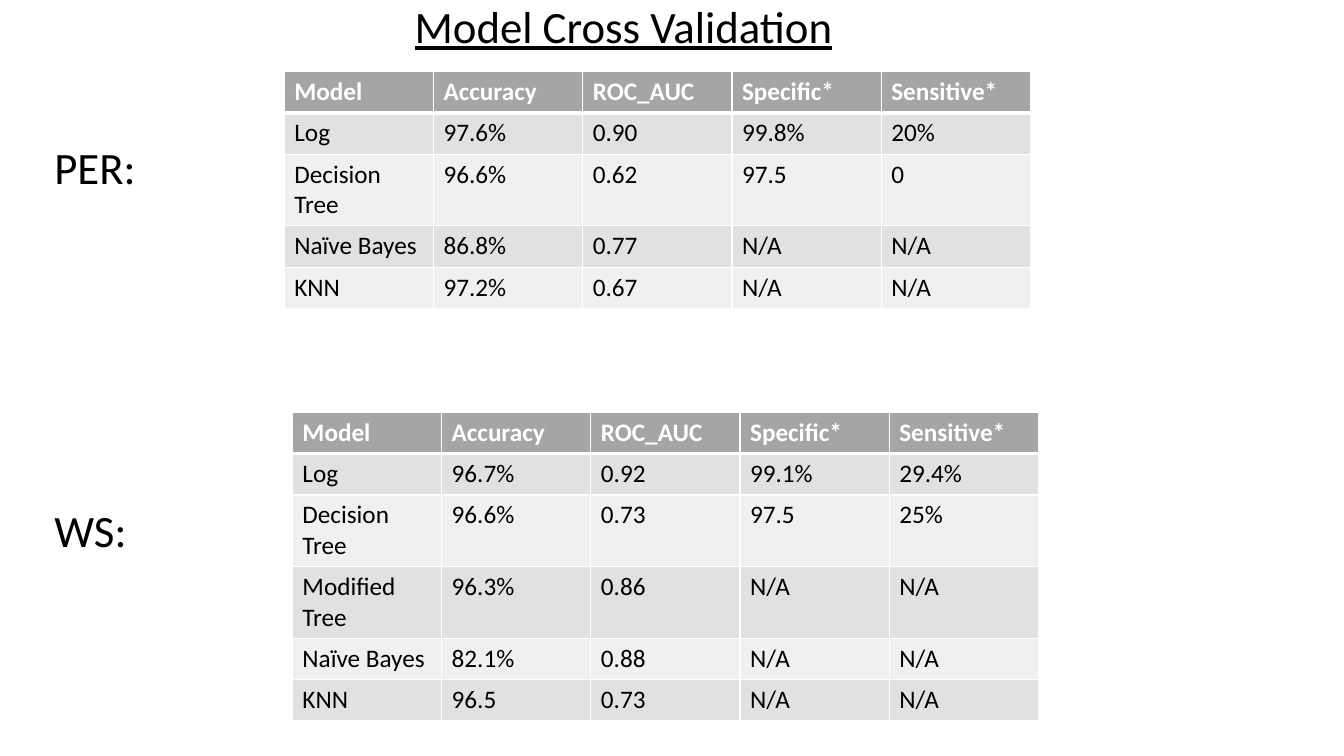
from lxml.etree import SubElement
from pptx import Presentation
from pptx.dml.color import RGBColor
from pptx.enum.text import PP_ALIGN
from pptx.oxml.ns import qn
from pptx.util import Inches, Pt

WHITE = RGBColor(0xFF, 0xFF, 0xFF)
BLACK = RGBColor(0x00, 0x00, 0x00)
HEADER_GRAY = RGBColor(0xA5, 0xA5, 0xA5)
BANDS = [RGBColor(0xF0, 0xF0, 0xF0), RGBColor(0xE1, 0xE1, 0xE1)]
FONT = "Calibri"
COLUMN_WIDTH = 1.48
ROW_HEIGHT = 0.41

HEADER = ["Model", "Accuracy", "ROC_AUC", "Specific*", "Sensitive*"]
PER_ROWS = [
    ["Log", "97.6%", "0.90", "99.8%", "20%"],
    ["Decision Tree", "96.6%", "0.62", "97.5", "0"],
    ["Naïve Bayes", "86.8%", "0.77", "N/A", "N/A"],
    ["KNN", "97.2%", "0.67", "N/A", "N/A"],
]
WS_ROWS = [
    ["Log", "96.7%", "0.92", "99.1%", "29.4%"],
    ["Decision Tree", "96.6%", "0.73", "97.5", "25%"],
    ["Modified Tree", "96.3%", "0.86", "N/A", "N/A"],
    ["Naïve Bayes", "82.1%", "0.88", "N/A", "N/A"],
    ["KNN", "96.5", "0.73", "N/A", "N/A"],
]


def style_font(font, size, color):
    font.name = FONT
    font.size = Pt(size)
    font.color.rgb = color


def set_borders(cell, widths):
    tcPr = cell._tc.get_or_add_tcPr()
    for side, width in widths.items():
        ln = SubElement(tcPr, qn(f"a:ln{side}"), w=str(Pt(width)))
        fill = SubElement(ln, qn("a:solidFill"))
        SubElement(fill, qn("a:srgbClr"), val=str(WHITE))


def add_heading(slide, text, left, top, width, height):
    box = slide.shapes.add_textbox(Inches(left), Inches(top), Inches(width), Inches(height))
    tf = box.text_frame
    tf.word_wrap = True
    tf.text = text
    p = tf.paragraphs[0]
    p.line_spacing = 0.9
    p.space_before = Pt(10)
    style_font(p.runs[0].font, 32, BLACK)
    return p


def add_title(slide, text, left, top, width, height):
    p = add_heading(slide, text, left, top, width, height)
    p.alignment = PP_ALIGN.CENTER
    p.runs[0].font.underline = True


def add_score_table(slide, body, left, top):
    rows = [HEADER] + body
    table = slide.shapes.add_table(
        len(rows), len(HEADER), Inches(left), Inches(top),
        Inches(COLUMN_WIDTH * len(HEADER)), Inches(ROW_HEIGHT * len(rows))).table
    for column in table.columns:
        column.width = Inches(COLUMN_WIDTH)
    for i, values in enumerate(rows):
        table.rows[i].height = Inches(ROW_HEIGHT)
        is_header = i == 0
        for j, value in enumerate(values):
            cell = table.cell(i, j)
            set_borders(cell, {"L": 1, "R": 1, "T": 3 if i == 1 else 1, "B": 3 if is_header else 1})
            cell.fill.solid()
            cell.fill.fore_color.rgb = HEADER_GRAY if is_header else BANDS[i % 2]
            cell.text_frame.text = value
            font = cell.text_frame.paragraphs[0].runs[0].font
            style_font(font, 18, WHITE if is_header else BLACK)
            font.bold = is_header


def main():
    prs = Presentation()
    prs.slide_width = Inches(13.33)
    prs.slide_height = Inches(7.5)
    slide = prs.slides.add_slide(prs.slide_layouts[6])
    add_score_table(slide, PER_ROWS, 2.82, 0.71)
    add_score_table(slide, WS_ROWS, 2.9, 4.09)
    add_heading(slide, "PER:", 0.44, 1.4, 11.5, 2.02)
    add_heading(slide, "WS:", 0.44, 5, 11.5, 2.82)
    add_title(slide, "Model Cross Validation", 3.72, 0, 4.93, 0.64)
    prs.save("out.pptx")


if __name__ == "__main__":
    main()
